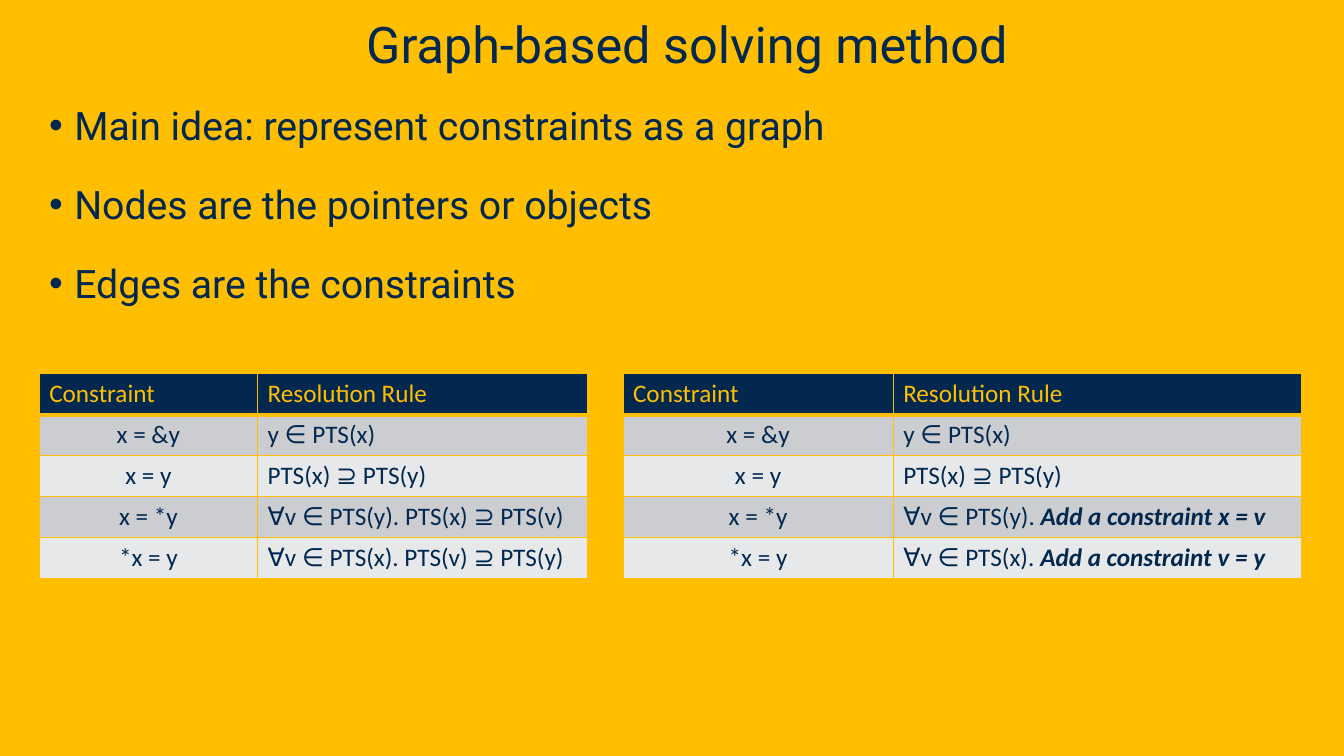
from dataclasses import dataclass

from lxml.etree import SubElement
from pptx import Presentation
from pptx.dml.color import RGBColor
from pptx.enum.text import MSO_ANCHOR as Anchor, PP_ALIGN as Align
from pptx.oxml.ns import qn
from pptx.util import Pt

NAVY, GOLD = "022850", "FFBE00"
BANDS = ("CCCDD0", "E7E8E9")
MARGIN, TABLE_TOP, ROW_HEIGHT = 28, 267, 29.2


@dataclass
class RuleTable:
    left: float
    widths: tuple[float, float]
    load_rule: tuple[str, str]  # plain part, emphasised part
    store_rule: tuple[str, str]

    def rows(self) -> list[tuple[str, tuple[str, str]]]:
        return [
            ("Constraint", ("Resolution Rule", "")),
            ("x = &y", ("y ∈ PTS(x)", "")),
            ("x = y", ("PTS(x) ⊇ PTS(y)", "")),
            ("x = *y", self.load_rule),
            ("*x = y", self.store_rule),
        ]


TABLES = [
    RuleTable(445, (193, 291.6),
              ("∀v ∈ PTS(y). ", "Add a constraint x = v"),
              ("∀v ∈ PTS(x). ", "Add a constraint v = y")),
    RuleTable(MARGIN, (156, 235.6),
              ("∀v ∈ PTS(y). PTS(x) ⊇ PTS(v)", ""),
              ("∀v ∈ PTS(x). PTS(v) ⊇ PTS(y)", "")),
]
IDEAS = [
    "Main idea: represent constraints as a graph",
    "Nodes are the pointers or objects",
    "Edges are the constraints",
]


def color(value: str) -> RGBColor:
    return RGBColor.from_string(value)


def add_text(paragraph, text: str, *, size: float, font: str, fill: str = NAVY,
             emphasis: bool = False, align=Align.LEFT) -> None:
    paragraph.alignment = align
    run = paragraph.add_run()
    run.text = text
    run.font.size = Pt(size)
    run.font.name = font
    run.font.bold = run.font.italic = emphasis
    run.font.color.rgb = color(fill)


def add_frame(slide, left: float, top: float, width: float, height: float):
    frame = slide.shapes.add_textbox(Pt(left), Pt(top), Pt(width), Pt(height)).text_frame
    frame.word_wrap = True
    return frame


def set_indent(paragraph, margin: float, first_line: float = 0):
    properties = paragraph._p.get_or_add_pPr()
    properties.set("marL", str(Pt(margin)))
    properties.set("indent", str(Pt(first_line)))
    return properties


def add_title(slide) -> None:
    frame = add_frame(slide, 0, 0, 960, 54.7)
    frame.vertical_anchor = Anchor.BOTTOM
    frame.margin_bottom = Pt(2)
    paragraph = frame.paragraphs[0]
    set_indent(paragraph, 21.6)
    add_text(paragraph, "Graph-based solving method", size=36, font="Roboto",
             align=Align.CENTER)


def add_ideas(slide) -> None:
    frame = add_frame(slide, MARGIN, 62, 901.5, 411)
    for index, idea in enumerate(IDEAS):
        paragraph = frame.add_paragraph() if index else frame.paragraphs[0]
        paragraph.line_spacing = 1.2
        paragraph.space_before = Pt(10 if index else 0)
        paragraph.space_after = Pt(6)
        properties = set_indent(paragraph, 18, -18)
        SubElement(properties, qn("a:buFont"), typeface="Arial")
        SubElement(properties, qn("a:buChar"), char="•")
        add_text(paragraph, idea, size=28, font="Roboto")


def set_borders(cell, bottom: float) -> None:
    properties = cell._tc.get_or_add_tcPr()
    for edge, width in (("lnL", 1), ("lnR", 1), ("lnT", 1), ("lnB", bottom)):
        line = SubElement(properties, qn(f"a:{edge}"), w=str(Pt(width)))
        fill = SubElement(line, qn("a:solidFill"))
        SubElement(fill, qn("a:srgbClr"), val=GOLD)


def add_rule_table(slide, rule_table: RuleTable) -> None:
    rows = rule_table.rows()
    table = slide.shapes.add_table(
        len(rows), 2, Pt(rule_table.left), Pt(TABLE_TOP),
        Pt(sum(rule_table.widths)), Pt(ROW_HEIGHT * len(rows))).table
    table.first_row = table.horz_banding = False
    for column, width in zip(table.columns, rule_table.widths):
        column.width = Pt(width)
    for index, (constraint, (rule, addition)) in enumerate(rows):
        header = index == 0
        table.rows[index].height = Pt(ROW_HEIGHT)
        for cell in table.rows[index].cells:
            set_borders(cell, bottom=3 if header else 1)
            cell.fill.solid()
            cell.fill.fore_color.rgb = color(NAVY if header else BANDS[(index - 1) % 2])
        style = {"size": 18, "font": "Calibri", "fill": GOLD if header else NAVY}
        left, right = (cell.text_frame.paragraphs[0] for cell in table.rows[index].cells)
        add_text(left, constraint, align=Align.LEFT if header else Align.CENTER, **style)
        add_text(right, rule, **style)
        if addition:
            add_text(right, addition, emphasis=True, **style)


def main() -> None:
    presentation = Presentation()
    presentation.slide_width, presentation.slide_height = Pt(960), Pt(540)
    slide = presentation.slides.add_slide(presentation.slide_layouts[6])
    slide.background.fill.solid()
    slide.background.fill.fore_color.rgb = color(GOLD)

    # Heading and bullet list
    add_ideas(slide)
    add_title(slide)

    # Constraint tables
    for rule_table in TABLES:
        add_rule_table(slide, rule_table)

    presentation.save("out.pptx")


if __name__ == "__main__":
    main()
